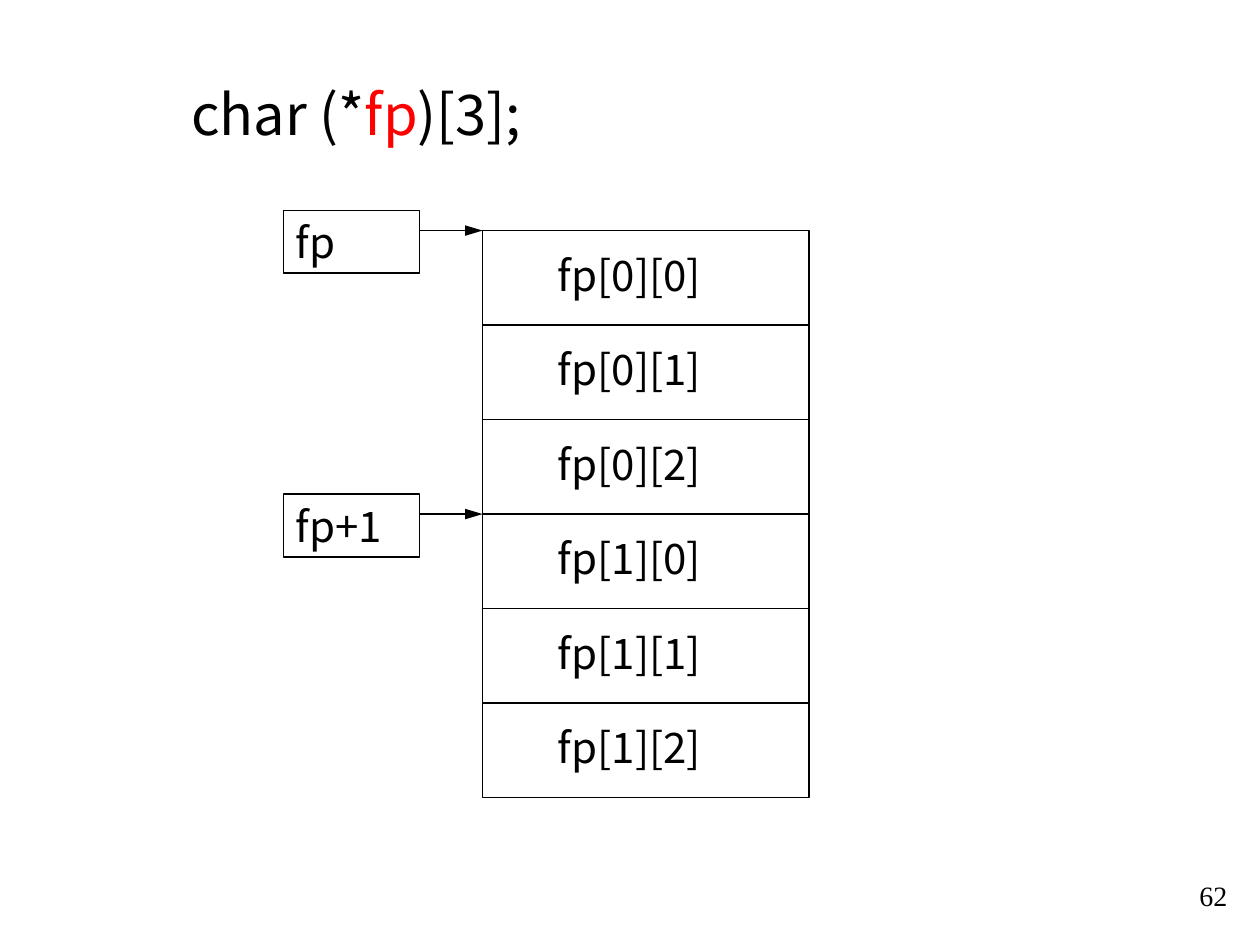
from pptx import Presentation
from pptx.dml.color import RGBColor
from pptx.enum.shapes import MSO_CONNECTOR, MSO_SHAPE
from pptx.enum.text import MSO_ANCHOR, PP_ALIGN
from pptx.oxml.ns import qn
from pptx.util import Inches, Pt
from lxml import etree

COLORS = {"ink": "000000", "accent": "FF0000"}
SANS = "Noto Sans CJK SC"


def write(sp, runs, size=24, font=SANS):
    tf = sp.text_frame
    tf.word_wrap = True
    tf.vertical_anchor = MSO_ANCHOR.MIDDLE
    p = tf.paragraphs[0]
    p.alignment = PP_ALIGN.LEFT
    for text, color in runs:
        r = p.add_run()
        r.text = text
        r.font.size = Pt(size)
        r.font.name = font
        r.font.color.rgb = RGBColor.from_string(COLORS[color])


def add_line(x1, x2, y, arrow=False):
    line = s.shapes.add_connector(MSO_CONNECTOR.STRAIGHT, Inches(x1), Inches(y), Inches(x2), Inches(y))
    line.line.color.rgb = RGBColor.from_string(COLORS["ink"])
    line.line.width = Pt(1)
    if arrow:
        etree.SubElement(line.line._get_or_add_ln(), qn("a:tailEnd"), type="triangle", w="med", len="lg")
    etree.SubElement(line._element.spPr, qn("a:effectLst"))


prs = Presentation()
prs.slide_width, prs.slide_height = Inches(10), Inches(7.5)
s = prs.slides.add_slide(prs.slide_layouts[6])

# Declaration
sp = s.shapes.add_textbox(Inches(1.42), Inches(0.58), Inches(4.17), Inches(0.64))
write(sp, [("char (*", "ink"), ("fp", "accent"), (")[3];", "ink")], size=32)

# Memory block and pointer boxes
left, right, top, row_h, rows, cols = 3.83, 6.42, 1.83, 0.75, 2, 3
pointers = ["fp", "fp+1"]
boxes = [(left, top, right - left, row_h * rows * cols, "")]
for i, name in enumerate(pointers):
    boxes.append((2.25, 1.67 + i * cols * row_h, 1.08, 0.5, name))
for x, y, w, h, name in boxes:
    sp = s.shapes.add_shape(MSO_SHAPE.RECTANGLE, Inches(x), Inches(y), Inches(w), Inches(h))
    sp.shadow.inherit = False
    sp.fill.background()
    sp.line.color.rgb = RGBColor.from_string(COLORS["ink"])
    sp.line.width = Pt(1)
    if name:
        write(sp, [(name, "ink")])

# Each pointer leads to the start of its row of elements
for i in range(len(pointers)):
    add_line(3.33, left, top + i * cols * row_h, arrow=True)

# Elements and their dividers
for n in range(rows * cols):
    y = top + n * row_h
    if n:
        add_line(left, right, y)
    sp = s.shapes.add_textbox(Inches(4.33), Inches(y + 0.1), Inches(1.5), Inches(0.5))
    write(sp, [(f"fp[{n // cols}][{n % cols}]", "ink")])

# Page number
sp = s.shapes.add_textbox(Inches(9.42), Inches(6.92), Inches(0.58), Inches(0.37))
write(sp, [("62", "ink")], size=16, font="Times New Roman")

prs.save("out.pptx")
